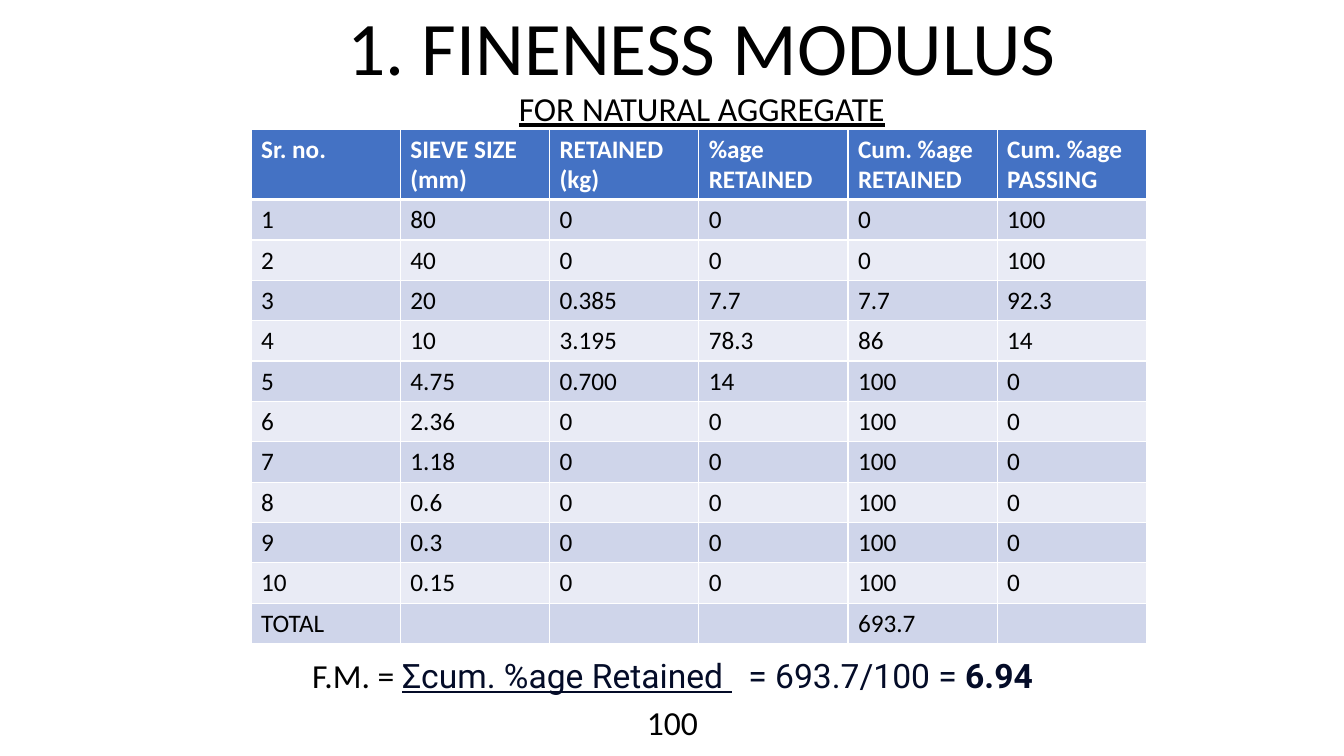
from dataclasses import dataclass

from lxml.etree import SubElement
from pptx import Presentation
from pptx.dml.color import RGBColor
from pptx.enum.text import MSO_ANCHOR, PP_ALIGN
from pptx.oxml.ns import qn
from pptx.util import Inches, Pt

BLACK, WHITE, NAVY = "000000", "FFFFFF", "040C28"
HEADER_FILL, BANDS = "4472C4", ("CFD5EA", "E9EBF5")


@dataclass
class Piece:
    text: str
    font: str = "Calibri"
    color: str = BLACK
    underline: bool = False
    bold: bool = False
    spacing: int = 0  # hundredths of a point between letters


@dataclass
class Block:
    left: float
    top: float
    width: float
    height: float
    size: int
    line_spacing: float
    lines: list[list[Piece]]


def rgb(value: str) -> RGBColor:
    return RGBColor.from_string(value)


def style(font, name: str, size: int, color: str, bold: bool = False) -> None:
    font.name, font.size, font.bold = name, Pt(size), bold
    font.color.rgb = rgb(color)


def add_block(slide, block: Block):
    box = slide.shapes.add_textbox(Inches(block.left), Inches(block.top),
                                   Inches(block.width), Inches(block.height))
    frame = box.text_frame
    frame.word_wrap = True
    for index, pieces in enumerate(block.lines):
        paragraph = frame.add_paragraph() if index else frame.paragraphs[0]
        paragraph.alignment = PP_ALIGN.CENTER
        paragraph.line_spacing = block.line_spacing
        if index:
            paragraph.space_before = Pt(10)
        for piece in pieces:
            run = paragraph.add_run()
            run.text = piece.text
            style(run.font, piece.font, block.size, piece.color, piece.bold)
            run.font.underline = piece.underline
            if piece.spacing:
                run.font._element.set("spc", str(piece.spacing))
    return frame


def set_borders(cell, bottom: float) -> None:
    properties = cell._tc.get_or_add_tcPr()
    for side, width in (("lnL", 1), ("lnR", 1), ("lnT", 1), ("lnB", bottom)):
        line = SubElement(properties, qn(f"a:{side}"), w=str(Pt(width)))
        fill = SubElement(line, qn("a:solidFill"))
        SubElement(fill, qn("a:srgbClr"), val=WHITE)


def add_sieve_table(slide, rows: list[tuple[str, ...]]) -> None:
    column_count = len(rows[0])
    table = slide.shapes.add_table(len(rows), column_count, Inches(2.49), Inches(1.28),
                                   Inches(8.88), Inches(5.1)).table
    for column in table.columns:
        column.width = Inches(1.48)
    for r, values in enumerate(rows):
        header = r == 0
        table.rows[r].height = Inches(0.7 if header else 0.4)
        for c, value in enumerate(values):
            cell = table.cell(r, c)
            set_borders(cell, 3 if header else 1)
            cell.fill.solid()
            cell.fill.fore_color.rgb = rgb(HEADER_FILL if header else BANDS[(r - 1) % 2])
            cell.text = value
            for paragraph in cell.text_frame.paragraphs:
                style(paragraph.font, "Calibri", 18, WHITE if header else BLACK, header)


# Sieve analysis data
HEADINGS = ("Sr. no.", "SIEVE SIZE\n(mm)", "RETAINED (kg)", "%age RETAINED",
            "Cum. %age RETAINED", "Cum. %age PASSING")
SIEVES = [
    ("80", "0", "0", "0", "100"),
    ("40", "0", "0", "0", "100"),
    ("20", "0.385", "7.7", "7.7", "92.3"),
    ("10", "3.195", "78.3", "86", "14"),
    ("4.75", "0.700", "14", "100", "0"),
    *((size, "0", "0", "100", "0") for size in ("2.36", "1.18", "0.6", "0.3", "0.15")),
]
TOTAL = ("TOTAL", "", "", "", "693.7", "")

TITLE = Block(1.96, 0.13, 10, 1.65, 54, 0.9, [[Piece("1. FINENESS MODULUS")]])
SUBTITLE = Block(4.12, 0.87, 5.68, 1.81, 24, 0.9,
                 [[Piece("FOR NATURAL AGGREGATE", underline=True)]])
FORMULA = Block(2.72, 6.53, 7.9, 0.9, 24, 0.8, [
    [Piece("F.M. = "),
     Piece("Σcum. %age Retained ", "Roboto", NAVY, underline=True),
     Piece(" ", "Roboto", NAVY, spacing=600),
     Piece("= 693.7/100 = ", "Roboto", NAVY),
     Piece("6.94", "Roboto", NAVY, bold=True)],
    [Piece("100")],
])


def main() -> None:
    presentation = Presentation()
    presentation.slide_width, presentation.slide_height = Inches(13.33), Inches(7.5)
    slide = presentation.slides.add_slide(presentation.slide_layouts[6])

    # Headings
    title = add_block(slide, TITLE)
    title.vertical_anchor = MSO_ANCHOR.BOTTOM
    title.margin_bottom = Inches(0.87)
    add_block(slide, SUBTITLE)

    # Sieve table
    numbered = [(str(n), *sieve) for n, sieve in enumerate(SIEVES, 1)]
    add_sieve_table(slide, [HEADINGS, *numbered, TOTAL])

    # Fineness modulus formula, its denominator set slightly left of centre
    formula = add_block(slide, FORMULA)
    denominator = formula.paragraphs[1]._p.get_or_add_pPr()
    denominator.set("marL", "0")
    denominator.set("indent", str(Inches(-0.15)))

    presentation.save("out.pptx")


if __name__ == "__main__":
    main()
